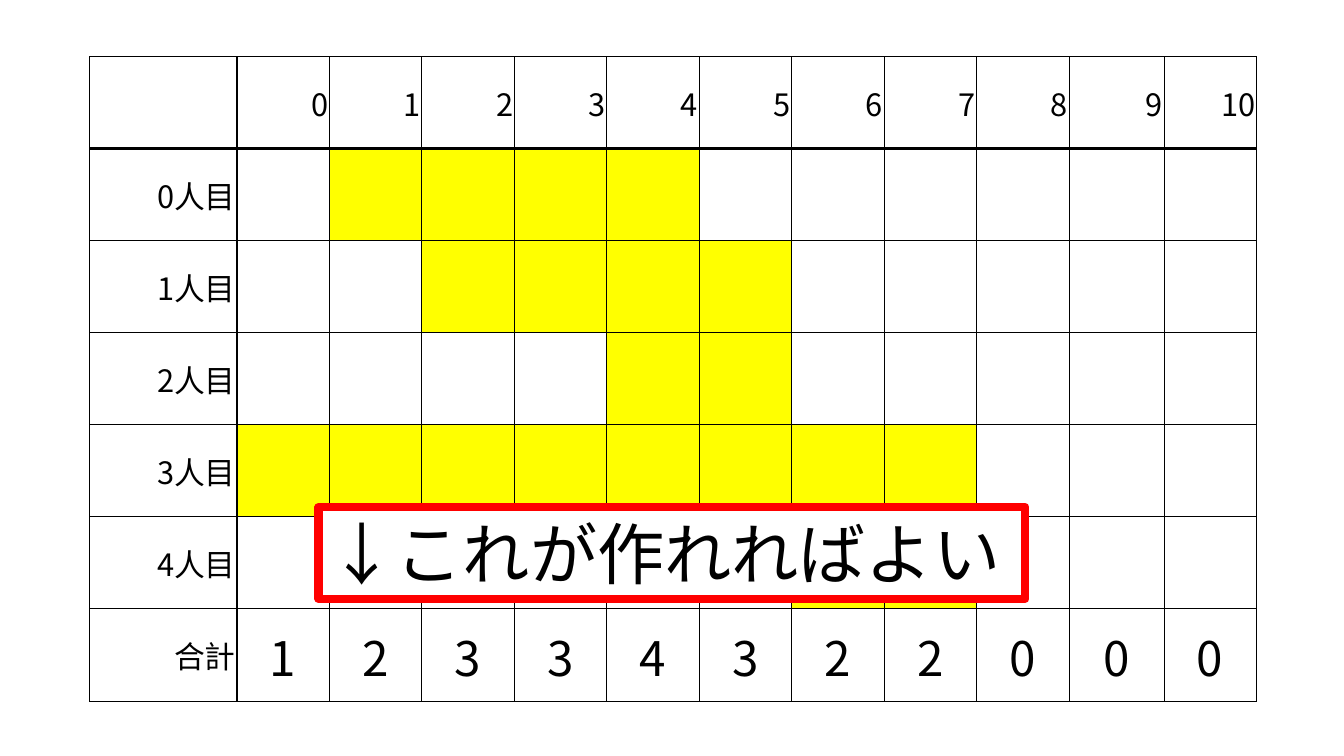
from dataclasses import dataclass

from lxml.etree import SubElement
from pptx import Presentation
from pptx.dml.color import RGBColor
from pptx.enum.text import MSO_ANCHOR, MSO_AUTO_SIZE, PP_ALIGN
from pptx.oxml.ns import qn
from pptx.util import Cm, Pt


@dataclass(frozen=True)
class Theme:
    font: str = "Noto Sans CJK JP"
    ink: str = "000000"
    paper: str = "FFFFFF"
    mark: str = "FFFF00"
    frame: str = "FF0000"
    label: float = 22
    total: float = 34
    note: float = 48
    thin: float = 0.5
    thick: float = 2
    edge: float = 6


THEME = Theme()
HOURS = range(11)
# First and last hour of each person's stay
STAYS = [(1, 4), (2, 5), (4, 5), (0, 7), (6, 7)]


def color(code):
    return RGBColor.from_string(code)


def add_run(para, text, size):
    run = para.add_run()
    run.text = text
    run.font.size = Pt(size)
    run.font.name = THEME.font
    run.font.color.rgb = color(THEME.ink)
    east = SubElement(run.font._element, qn("a:ea"))
    east.set("typeface", THEME.font)


def add_edge(cell, side, width):
    props = cell._tc.get_or_add_tcPr()
    line = SubElement(props, qn(f"a:ln{side}"), w=str(Pt(width)))
    fill = SubElement(line, qn("a:solidFill"))
    SubElement(fill, qn("a:srgbClr"), val=THEME.ink)


def style_cell(cell, row, col, marked):
    # Thick rules follow the header row and the label column
    thick = {"L": col == 1, "R": col == 0, "T": row == 1, "B": row == 0}
    for side, heavy in thick.items():
        add_edge(cell, side, THEME.thick if heavy else THEME.thin)
    if marked:
        cell.fill.solid()
        cell.fill.fore_color.rgb = color(THEME.mark)
    else:
        cell.fill.background()
    cell.vertical_anchor = MSO_ANCHOR.MIDDLE
    cell.margin_left = cell.margin_right = cell.margin_top = Cm(0.03)
    cell.margin_bottom = 0


def write_cell(cell, text, size, align):
    para = cell.text_frame.paragraphs[0]
    para.alignment = align
    add_run(para, text, size)


def add_chart_grid(slide):
    rows, cols = len(STAYS) + 2, len(HOURS) + 1
    table = slide.shapes.add_table(
        rows, cols, Cm(2.26), Cm(1.42), Cm(29.4), Cm(16.24)).table
    table.first_row = table.horz_banding = False

    # Column widths and row heights
    for col in table.columns:
        col.width = Cm(2.33)
    table.columns[0].width = Cm(3.71)
    table.columns[10].width = Cm(2.39)
    for row in table.rows:
        row.height = Cm(2.32)

    # Borders and marked hours
    for row in range(rows):
        for col in range(cols):
            marked = False
            if 0 < row < rows - 1:
                start, end = STAYS[row - 1]
                marked = start <= col - 1 <= end
            style_cell(table.cell(row, col), row, col, marked)

    # Hours across the top, totals along the bottom
    for hour in HOURS:
        count = sum(start <= hour <= end for start, end in STAYS)
        write_cell(table.cell(0, hour + 1), str(hour),
                   THEME.label, PP_ALIGN.RIGHT)
        write_cell(table.cell(rows - 1, hour + 1), str(count),
                   THEME.total, PP_ALIGN.CENTER)

    # Row labels
    names = [f"{i}人目" for i in range(len(STAYS))] + ["合計"]
    for row, name in enumerate(names, 1):
        write_cell(table.cell(row, 0), name, THEME.label, PP_ALIGN.RIGHT)


def add_note(slide, text):
    box = slide.shapes.add_textbox(Cm(8.03), Cm(12.78), Cm(17.81), Cm(2.31))
    box.fill.solid()
    box.fill.fore_color.rgb = color(THEME.paper)
    box.line.color.rgb = color(THEME.frame)
    box.line.width = Pt(THEME.edge)
    frame = box.text_frame
    frame.word_wrap = True
    frame.auto_size = MSO_AUTO_SIZE.NONE
    frame.vertical_anchor = MSO_ANCHOR.MIDDLE
    add_run(frame.paragraphs[0], text, THEME.note)


def main():
    deck = Presentation()
    deck.slide_width, deck.slide_height = Cm(33.87), Cm(19.05)
    slide = deck.slides.add_slide(deck.slide_layouts[6])
    add_chart_grid(slide)
    add_note(slide, "↓これが作れればよい")
    deck.save("out.pptx")


if __name__ == "__main__":
    main()
